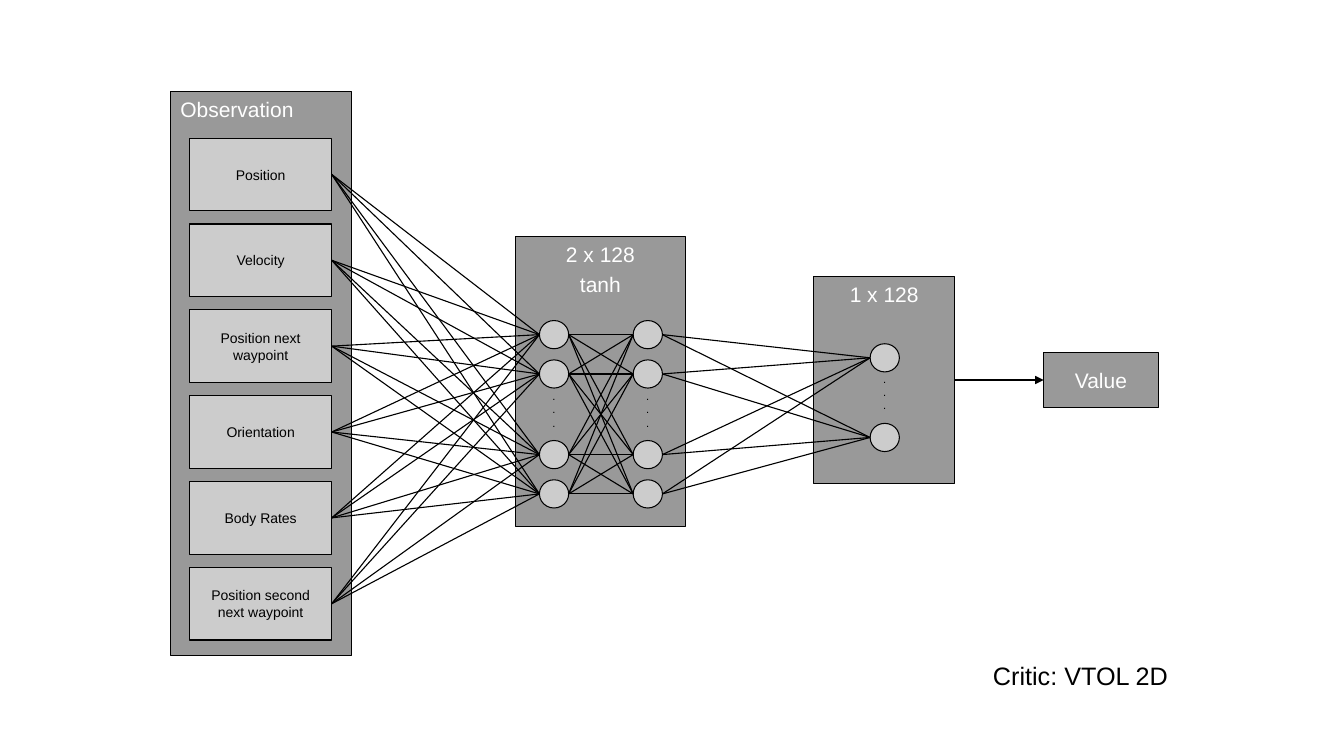
from itertools import product

from lxml import etree
from pptx import Presentation
from pptx import util as u
from pptx.dml.color import RGBColor
from pptx.enum import shapes, text
from pptx.oxml.ns import qn

BLACK = RGBColor(0x00, 0x00, 0x00)
WHITE = RGBColor(0xFF, 0xFF, 0xFF)
DARK = RGBColor(0x99, 0x99, 0x99)
LIGHT = RGBColor(0xCC, 0xCC, 0xCC)
NODE_W, NODE_H = 0.29, 0.28
INPUTS = [
    "Position",
    "Velocity",
    "Position next waypoint",
    "Orientation",
    "Body Rates",
    "Position second next waypoint",
]


class Board:
    font = "Arial"
    thin = 0.79

    def __init__(self, slide):
        self.shapes = slide.shapes

    def letter(self, shape, lines, size, color, align, anchor, gap=0):
        frame = shape.text_frame
        frame.word_wrap = True
        frame.vertical_anchor = anchor
        frame.text = "\n".join(lines)
        for i, para in enumerate(frame.paragraphs):
            para.alignment = align
            if i and gap:
                para.space_before = u.Pt(gap)
            para.font.name = self.font
            para.font.size = u.Pt(size)
            para.font.color.rgb = color

    def form(self, kind, x, y, w, h, fill, width):
        shape = self.shapes.add_shape(kind, *map(u.Inches, (x, y, w, h)))
        shape.shadow.inherit = False
        shape.fill.solid()
        shape.fill.fore_color.rgb = fill
        shape.line.color.rgb = BLACK
        shape.line.width = u.Pt(width)
        return shape

    def box(self, x, y, w, h, lines, fill=DARK, size=15, color=WHITE,
            align=text.PP_ALIGN.CENTER, anchor=text.MSO_ANCHOR.TOP):
        shape = self.form(shapes.MSO_SHAPE.RECTANGLE, x, y, w, h, fill, self.thin)
        self.letter(shape, lines, size, color, align, anchor, 2.9)
        return shape

    def label(self, x, y, w, h, lines, size, align):
        shape = self.shapes.add_textbox(*map(u.Inches, (x, y, w, h)))
        self.letter(shape, lines, size, BLACK, align, text.MSO_ANCHOR.TOP)

    def layer(self, x, mid, steps):
        nodes = [
            self.form(shapes.MSO_SHAPE.OVAL, x, mid + step - NODE_H / 2,
                      NODE_W, NODE_H, LIGHT, 0)
            for step in steps
        ]
        self.label(x, mid - 0.3, NODE_W, 0.61, "...", 8, text.PP_ALIGN.CENTER)
        return nodes

    def link(self, start, end, width=thin):
        line = self.shapes.add_connector(
            shapes.MSO_CONNECTOR.STRAIGHT,
            start.left + start.width, start.top + start.height // 2,
            end.left, end.top + end.height // 2)
        rect = shapes.MSO_SHAPE.RECTANGLE
        if start.auto_shape_type == rect:
            line.begin_connect(start, 3)
        if end.auto_shape_type == rect:
            line.end_connect(end, 1)
        line.line.color.rgb = BLACK
        line.line.width = u.Pt(width)
        etree.SubElement(line._element.spPr, qn("a:effectLst"))
        return line

    def arrow(self, start, end):
        line = self.link(start, end, 1)
        tip = etree.SubElement(line.line._get_or_add_ln(), qn("a:tailEnd"))
        tip.set("type", "triangle")

    def mesh(self, left, right):
        for start, end in product(left, right):
            self.link(start, end)


def main():
    deck = Presentation()
    deck.slide_width = u.Inches(13.33)
    deck.slide_height = u.Inches(7.5)
    board = Board(deck.slides.add_slide(deck.slide_layouts[6]))
    mid = text.MSO_ANCHOR.MIDDLE

    board.label(9.75, 6.5, 2.75, 0.38, ["Critic: VTOL 2D"], 18, text.PP_ALIGN.LEFT)

    board.box(1.69, 0.91, 1.8, 5.59, ["Observation"], align=text.PP_ALIGN.LEFT)
    pitch = (5.63 - 1.37) / (len(INPUTS) - 1)
    inputs = [
        board.box(1.88, 1.37 + i * pitch, 1.41, 0.72, [name],
                  fill=LIGHT, size=10, color=BLACK, anchor=mid)
        for i, name in enumerate(INPUTS)
    ]

    board.box(5.11, 2.35, 1.69, 2.87, ["2 x 128", "tanh"])
    first, second = [
        board.layer(x, 4.11, (-0.79, -0.4, 0.4, 0.79)) for x in (5.35, 6.28)
    ]

    critic = board.box(8.07, 2.74, 1.4, 2.06, ["1 x 128"])
    third = board.layer(8.63, 3.94, (-0.39, 0.4))
    value = board.box(10.35, 3.5, 1.14, 0.54, ["Value"], anchor=mid)

    for left, right in ((inputs, first), (first, second), (second, third)):
        board.mesh(left, right)
    board.arrow(critic, value)

    deck.save("out.pptx")


if __name__ == "__main__":
    main()
